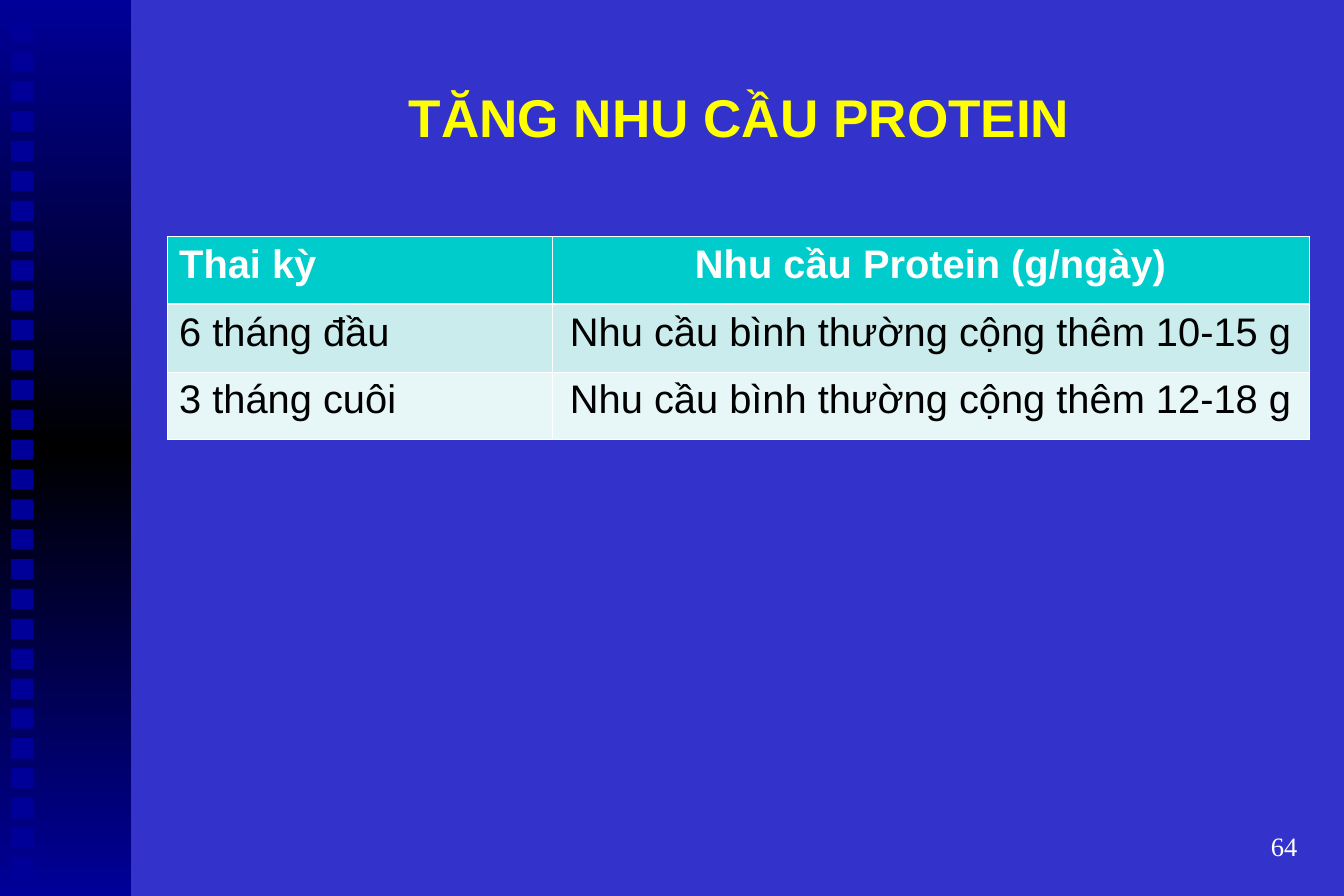
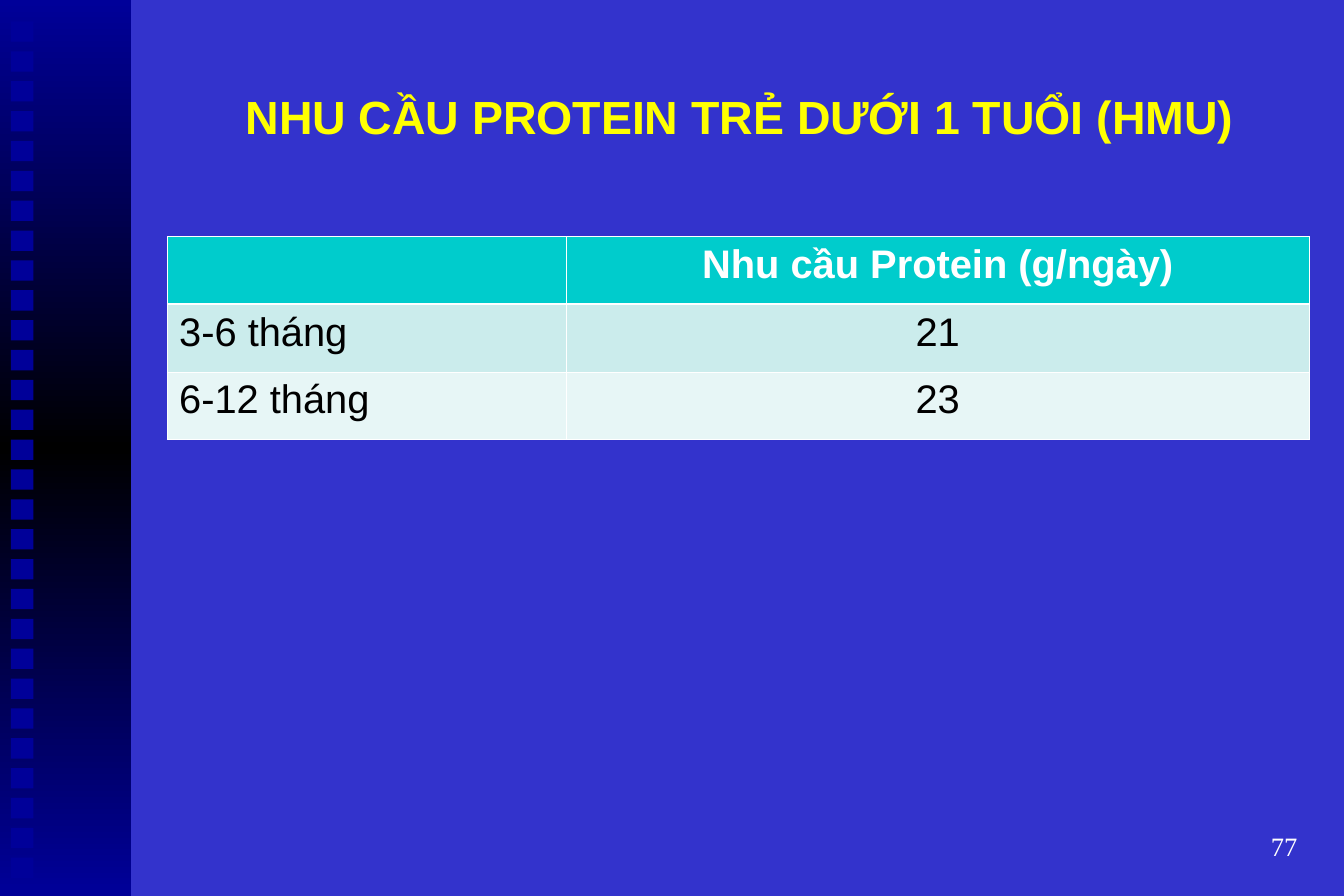
from copy import deepcopy

from lxml.etree import SubElement
from pptx import Presentation
from pptx.dml.color import RGBColor
from pptx.enum.shapes import MSO_SHAPE
from pptx.enum.text import MSO_ANCHOR, PP_ALIGN
from pptx.oxml.ns import qn
from pptx.util import Inches, Pt

SLIDES = [
    {
        "title": "TĂNG NHU CẦU PROTEIN", "title_size": 32, "number": "64",
        "first_column": 3.22,
        "rows": [
            ("Thai kỳ", "Nhu cầu Protein (g/ngày)"),
            ("6 tháng đầu", "Nhu cầu bình thường cộng thêm 10-15 g"),
            ("3 tháng cuôi", "Nhu cầu bình thường cộng thêm 12-18 g"),
        ],
    },
    {
        "title": "NHU CẦU PROTEIN TRẺ DƯỚI 1 TUỔI (HMU)", "title_size": 28, "number": "77",
        "first_column": 3.34,
        "rows": [
            ("", "Nhu cầu Protein (g/ngày)"),
            ("3-6 tháng", "21"),
            ("6-12 tháng", "23"),
        ],
    },
]

WIDTH, HEIGHT = 11.25, 7.5
NAVY, BLACK, WHITE, YELLOW = "000099", "000000", "FFFFFF", "FFFF00"
BACKGROUND = "3333CC"
ROW_FILLS = ["00CCCC", "CBECEC", "E7F6F6"]
BAND_STOPS = [(0, NAVY), (0.5, BLACK), (1, NAVY)]
BAND_WIDTH = 1.1
SQUARE_COUNT, SQUARE_TOP, SQUARE_STEP = 29, 0.18, 0.25
TITLE_BOX = (1.41, 0.51, 9.56, 0.92)
NUMBER_BOX = (8.63, 6.83, 2.34, 0.5)
TABLE_LEFT, TABLE_TOP, TABLE_WIDTH, TABLE_HEIGHT = 1.4, 1.98, 9.56, 1.7
THIN, THICK = 0.45, 1.47


def color(hex_string):
    return RGBColor.from_string(hex_string)


def inches(lengths):
    return [Inches(length) for length in lengths]


def add_run(paragraph, text, size, hex_color, font="Arial", bold=False):
    run = paragraph.add_run()
    run.text = text
    run.font.size, run.font.name, run.font.bold = Pt(size), font, bold
    run.font.color.rgb = color(hex_color)


def add_line_of_text(slide, box, align, text, size, hex_color, **style):
    frame = slide.shapes.add_textbox(*inches(box)).text_frame
    frame.word_wrap = True
    frame.vertical_anchor = MSO_ANCHOR.MIDDLE
    frame.margin_left = frame.margin_right = Inches(0.11)
    frame.margin_top = frame.margin_bottom = Inches(0.06)
    paragraph = frame.paragraphs[0]
    paragraph.alignment = align
    add_run(paragraph, text, size, hex_color, **style)


def add_rectangle(shapes, box):
    rectangle = shapes.add_shape(MSO_SHAPE.RECTANGLE, *inches(box))
    rectangle.shadow.inherit = False
    rectangle.line.fill.background()
    return rectangle


def add_side_band(slide):
    band = add_rectangle(slide.shapes, (0, 0, BAND_WIDTH, HEIGHT))
    band.fill.gradient()
    band.fill.gradient_angle = 270
    stop_list = band.element.spPr.find(qn("a:gradFill")).find(qn("a:gsLst"))
    stop_list.insert(1, deepcopy(stop_list[0]))
    for stop, (position, hex_color) in zip(band.fill.gradient_stops, BAND_STOPS):
        stop.position = position
        stop.color.rgb = color(hex_color)
    squares = slide.shapes.add_group_shape()
    for index in range(SQUARE_COUNT):
        top = SQUARE_TOP + index * SQUARE_STEP
        square = add_rectangle(squares.shapes, (0.09, top, 0.19, 0.17))
        square.fill.solid()
        square.fill.fore_color.rgb = color(NAVY)


def set_borders(cell, top, bottom):
    """Draw white cell borders: thin at the sides, the given points above and below."""
    properties = cell._tc.get_or_add_tcPr()
    for side, points in (("L", THIN), ("R", THIN), ("T", top), ("B", bottom)):
        border = SubElement(properties, qn(f"a:ln{side}"), w=str(Pt(points)))
        SubElement(SubElement(border, qn("a:solidFill")), qn("a:srgbClr"), val=WHITE)


def add_needs_table(slide, rows, first_column):
    table = slide.shapes.add_table(
        len(rows), 2, *inches((TABLE_LEFT, TABLE_TOP, TABLE_WIDTH, TABLE_HEIGHT))).table
    table.horz_banding = False
    for column, width in zip(table.columns, (first_column, TABLE_WIDTH - first_column)):
        column.width = Inches(width)
    for r, texts in enumerate(rows):
        header = r == 0
        for c, text in enumerate(texts):
            cell = table.cell(r, c)
            set_borders(cell, THICK if r == 1 else THIN, THICK if header else THIN)
            cell.fill.solid()
            cell.fill.fore_color.rgb = color(ROW_FILLS[r])
            paragraph = cell.text_frame.paragraphs[0]
            paragraph.alignment = PP_ALIGN.CENTER if c else PP_ALIGN.LEFT
            if text:
                add_run(paragraph, text, 24, WHITE if header else BLACK, bold=header)


def main():
    deck = Presentation()
    deck.slide_width, deck.slide_height = inches((WIDTH, HEIGHT))
    master_fill = deck.slide_master.background.fill
    master_fill.solid()
    master_fill.fore_color.rgb = color(BACKGROUND)
    for content in SLIDES:
        slide = deck.slides.add_slide(deck.slide_layouts[6])
        add_side_band(slide)
        add_line_of_text(slide, TITLE_BOX, PP_ALIGN.CENTER, content["title"],
                         content["title_size"], YELLOW, bold=True)
        add_line_of_text(slide, NUMBER_BOX, PP_ALIGN.RIGHT, content["number"],
                         16, WHITE, font="Times New Roman")
        add_needs_table(slide, content["rows"], content["first_column"])
    deck.save("out.pptx")


if __name__ == "__main__":
    main()
